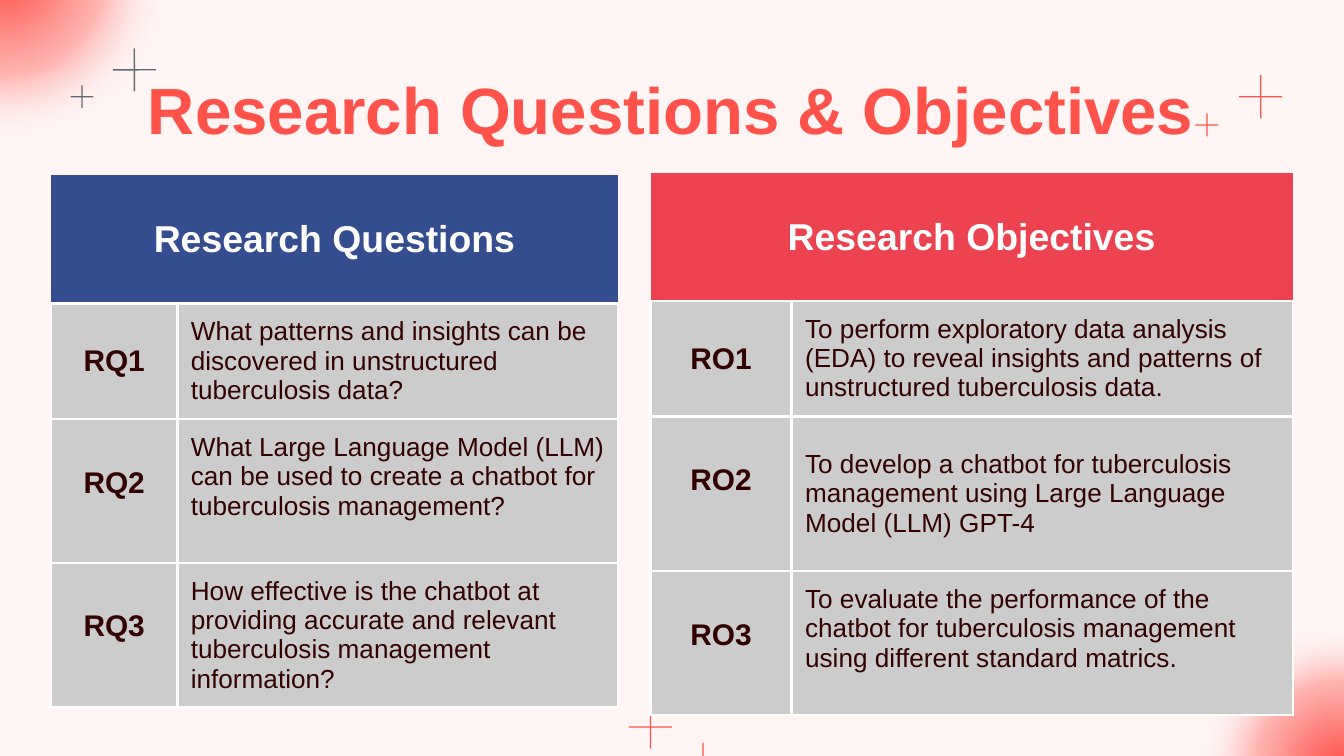
from lxml import etree
from pptx import Presentation
from pptx import util as u
from pptx.dml.color import RGBColor
from pptx.enum import shapes, text
from pptx.oxml import ns

CORAL = RGBColor(0xFF, 0x52, 0x4B)
GREY = RGBColor(0x62, 0x68, 0x70)
NAVY = RGBColor(0x33, 0x4D, 0x8F)
RED = RGBColor(0xED, 0x43, 0x50)
SILVER = RGBColor(0xCC, 0xCC, 0xCC)
MAROON = RGBColor(0x32, 0x00, 0x00)
WHITE = RGBColor(0xFF, 0xFF, 0xFF)
BLUSH = RGBColor(0xFF, 0xF5, 0xF5)

TOP, MIDDLE = text.MSO_ANCHOR.TOP, text.MSO_ANCHOR.MIDDLE
CENTER = text.PP_ALIGN.CENTER

TITLE = "Research Questions & Objectives"
TABLES = [
    dict(
        header="Research Questions", color=NAVY, left=0.38, top=1.3,
        columns=(0.94, 3.28), heights=(0.96, 0.86, 1.07, 1.07),
        rows=[
            ("RQ1", "What patterns and insights can be discovered in unstructured tuberculosis data?", TOP),
            ("RQ2", "What Large Language Model (LLM) can be used to create a chatbot for tuberculosis management?", TOP),
            ("RQ3", "How effective is the chatbot at providing accurate and relevant tuberculosis management information?", TOP),
        ],
    ),
    dict(
        header="Research Objectives", color=RED, left=4.84, top=1.29,
        columns=(1.05, 3.73), heights=(0.95, 0.86, 1.15, 1.07),
        rows=[
            ("RO1", "To perform exploratory data analysis (EDA) to reveal insights and patterns of unstructured tuberculosis data.", TOP),
            ("RO2", "To develop a chatbot for tuberculosis management using Large Language Model (LLM) GPT-4", MIDDLE),
            ("RO3", "To evaluate the performance of the chatbot for tuberculosis management using different standard matrics.", TOP),
        ],
    ),
]
GLOWS = [(-1.31, -1.52, 2.68), (8.82, 4.55, 2.29)]
GLOW_STOPS = [(0, CORAL, 100), (39, CORAL, 38), (66, WHITE, 0), (100, WHITE, 0)]
LARGE, SMALL, THICKNESS = 0.32, 0.17, 0.01
PLUSES = [
    (9.38, 0.72, LARGE, CORAL), (8.98, 0.93, SMALL, CORAL),
    (4.84, 5.41, LARGE, CORAL), (1, 0.52, LARGE, GREY), (0.61, 0.72, SMALL, GREY),
]
LOWER_TICK = (5.23, 5.61)


def add_child(parent, tag, **attributes):
    child = etree.SubElement(parent, ns.qn(tag))
    for name, value in attributes.items():
        child.set(name, str(value))
    return child


def write(frame, content, size, color, bold=False, align=text.PP_ALIGN.LEFT):
    paragraph = frame.paragraphs[0]
    paragraph.alignment = align
    run = paragraph.add_run()
    run.text = content
    run.font.name = "Arial"
    run.font.size = u.Pt(size)
    run.font.bold = bold
    run.font.color.rgb = color


def add_plain(slide, kind, left, top, width, height, color):
    shape = slide.shapes.add_shape(kind, *map(u.Inches, (left, top, width, height)))
    shape.shadow.inherit = False
    shape.line.fill.background()
    shape.fill.solid()
    shape.fill.fore_color.rgb = color
    return shape


def add_bar(slide, x, y, width, height, color):
    add_plain(slide, shapes.MSO_SHAPE.ROUNDED_RECTANGLE,
              x - width / 2, y - height / 2, width, height, color)


def add_glow(slide, left, top, size):
    shape = add_plain(slide, shapes.MSO_SHAPE.OVAL, left, top, size, size, CORAL)
    properties = shape._element.spPr
    solid = properties.find(ns.qn("a:solidFill"))
    gradient = etree.Element(ns.qn("a:gradFill"), rotWithShape="1")
    stops = add_child(gradient, "a:gsLst")
    for position, color, opacity in GLOW_STOPS:
        stop = add_child(stops, "a:gs", pos=position * 1000)
        add_child(add_child(stop, "a:srgbClr", val=color), "a:alpha", val=opacity * 1000)
    circle = add_child(gradient, "a:path", path="circle")
    add_child(circle, "a:fillToRect", l=50000, t=50000, r=50000, b=50000)
    properties.replace(solid, gradient)
    slide.shapes._spTree.insert(2, shape._element)


def format_cell(cell, fill, anchor, sides, margin_top=0.1):
    cell.fill.solid()
    cell.fill.fore_color.rgb = fill
    cell.vertical_anchor = anchor
    cell.margin_left = cell.margin_right = cell.margin_bottom = u.Inches(0.1)
    cell.margin_top = u.Inches(margin_top)
    properties = cell._tc.get_or_add_tcPr()
    for index, side in enumerate("LRTB"):
        line = etree.Element(ns.qn(f"a:ln{side}"), w=str(u.Pt(1.5)))
        if side in sides:
            add_child(add_child(line, "a:solidFill"), "a:srgbClr", val=WHITE)
        else:
            add_child(line, "a:noFill")
        properties.insert(index, line)


def add_research_table(slide, data):
    frame = slide.shapes.add_table(
        len(data["heights"]), 2, u.Inches(data["left"]), u.Inches(data["top"]),
        u.Inches(sum(data["columns"])), u.Inches(sum(data["heights"])))
    table = frame.table
    table.first_row = table.horz_banding = False
    for column, width in zip(table.columns, data["columns"]):
        column.width = u.Inches(width)
    for row, height in zip(table.rows, data["heights"]):
        row.height = u.Inches(height)

    header = table.cell(0, 0)
    header.merge(table.cell(0, 1))
    for column in range(2):
        format_cell(table.cell(0, column), data["color"], MIDDLE, "B")
    write(header.text_frame, data["header"], 20, WHITE, bold=True, align=CENTER)

    for index, (label, statement, anchor) in enumerate(data["rows"], start=1):
        label_cell, statement_cell = table.cell(index, 0), table.cell(index, 1)
        if index == 1:
            format_cell(label_cell, SILVER, MIDDLE, "LRTB")
        else:
            format_cell(label_cell, SILVER, TOP, "LRTB", margin_top=0.35)
        write(label_cell.text_frame, label, 16, MAROON, bold=True, align=CENTER)
        format_cell(statement_cell, SILVER, anchor, "LRTB")
        write(statement_cell.text_frame, statement, 14, MAROON)


def main():
    presentation = Presentation()
    presentation.slide_width = u.Inches(10)
    presentation.slide_height = presentation.slide_width * 9 // 16
    slide = presentation.slides.add_slide(presentation.slide_layouts[5])
    slide.background.fill.solid()
    slide.background.fill.fore_color.rgb = BLUSH

    title = slide.shapes.title
    title.left, title.top = u.Inches(0.78), u.Inches(0.49)
    title.width, title.height = u.Inches(8.43), u.Inches(0.63)
    title.text_frame.vertical_anchor = MIDDLE
    title.text_frame.auto_size = text.MSO_AUTO_SIZE.NONE
    write(title.text_frame, TITLE, 35, CORAL, bold=True, align=CENTER)

    for glow in GLOWS:
        add_glow(slide, *glow)
    for x, y, size, color in PLUSES:
        add_bar(slide, x, y, THICKNESS, size, color)
        add_bar(slide, x, y, size, THICKNESS, color)
    add_bar(slide, *LOWER_TICK, THICKNESS, SMALL, CORAL)
    for data in TABLES:
        add_research_table(slide, data)
    presentation.save("out.pptx")


if __name__ == "__main__":
    main()
